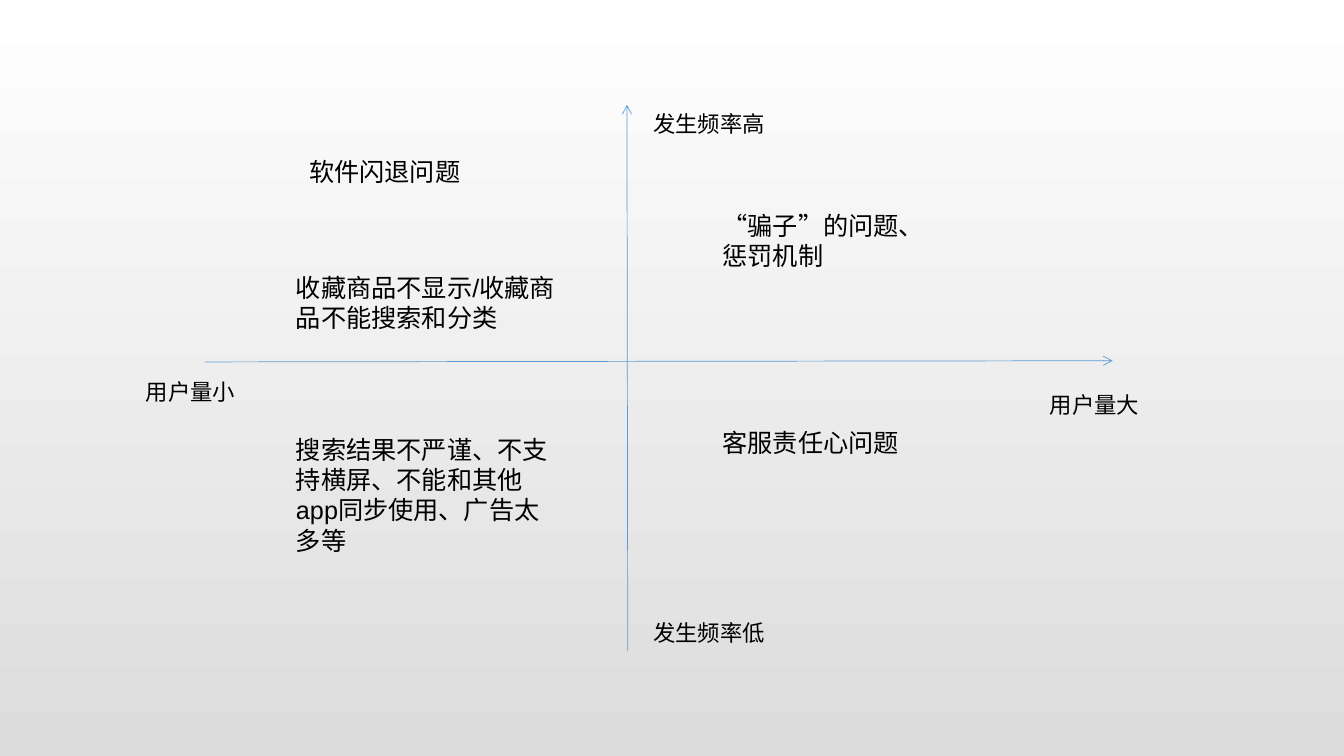
from lxml import etree
from pptx import Presentation
from pptx import util as u
from pptx.dml.color import RGBColor
from pptx.enum import lang, shapes, text
from pptx.oxml import ns

COLOURS = {"text": "000000", "axis": "5B9BD5", "top": "FFFFFF", "bottom": "DCDCDC"}
FONT = "Arial"
MATRIX = (3.43, 2.64, 26.06, 13.77)
LABEL_HEIGHT = 0.94
NOTE_WIDTH = 7.06
NOTES = [
    (14.53, 2.54, 1.8, ["“骗子”的问题、", "惩罚机制"]),
    (14.53, 8, 1.02, ["客服责任心问题"]),
    (4.11, 1.17, 1.02, ["软件闪退问题"]),
    (3.78, 4.09, 1.8, ["收藏商品不显示/收藏商品不能搜索和分类"]),
    (3.78, 8.18, 3.33, ["搜索结果不严谨、不支持横屏、不能和其他app同步使用、广告太多等"]),
]


def colour(name):
    """Return the named colour."""
    return RGBColor.from_string(COLOURS[name])


def paint_background(page):
    """Fill the page with a vertical gradient."""
    fill = page.background.fill
    fill.gradient()
    fill.gradient_angle = 270
    for stop, name in zip(fill.gradient_stops, ("top", "bottom")):
        stop.color.rgb = colour(name)


def add_axis(page, *points):
    """Draw a thin axis with an open arrowhead at its end."""
    axis = page.shapes.add_connector(
        shapes.MSO_CONNECTOR.STRAIGHT, *(u.Cm(value) for value in points))
    axis.line.color.rgb = colour("axis")
    axis.line.width = u.Pt(0.5)
    outline = axis.line._get_or_add_ln()
    etree.SubElement(outline, ns.qn("a:tailEnd"), type="arrow")
    etree.SubElement(axis._element.spPr, ns.qn("a:effectLst"))


def add_text(page, left, top, width, height, lines, size):
    """Add a wrapping text box with one paragraph per line."""
    box = page.shapes.add_textbox(*(u.Cm(value) for value in (left, top, width, height)))
    frame = box.text_frame
    frame.word_wrap = True
    frame.auto_size = text.MSO_AUTO_SIZE.SHAPE_TO_FIT_TEXT
    for index, line in enumerate(lines):
        para = frame.add_paragraph() if index else frame.paragraphs[0]
        span = para.add_run()
        span.text = line
        span.font.name = FONT
        span.font.size = u.Pt(size)
        span.font.color.rgb = colour("text")
        span.font.language_id = lang.MSO_LANGUAGE_ID.SIMPLIFIED_CHINESE


def add_matrix(page, left, top, width, height):
    """Place the axes, their end labels and the quadrant notes in the box."""
    add_axis(page, left + 1.73, top + 6.48, left + 24.61, top + 6.45)
    add_axis(page, left + 12.39, top + height, left + 12.37, top)
    labels = [
        (width - 3.28, 7.09, 3.28, "用户量大"),
        (12.78, 0, 3.51, "发生频率高"),
        (0, 6.76, 3.28, "用户量小"),
        (12.78, height - LABEL_HEIGHT, 3.51, "发生频率低"),
    ]
    for across, down, label_width, label in labels:
        add_text(page, left + across, top + down, label_width, LABEL_HEIGHT, [label], 16)
    for across, down, note_height, lines in NOTES:
        add_text(page, left + across, top + down, NOTE_WIDTH, note_height, lines, 18)


def main():
    """Build the deck and save it."""
    deck = Presentation()
    deck.slide_width, deck.slide_height = u.Cm(33.87), u.Cm(19.05)
    page = deck.slides.add_slide(deck.slide_layouts[6])
    paint_background(page)
    add_matrix(page, *MATRIX)
    deck.save("out.pptx")


main()
